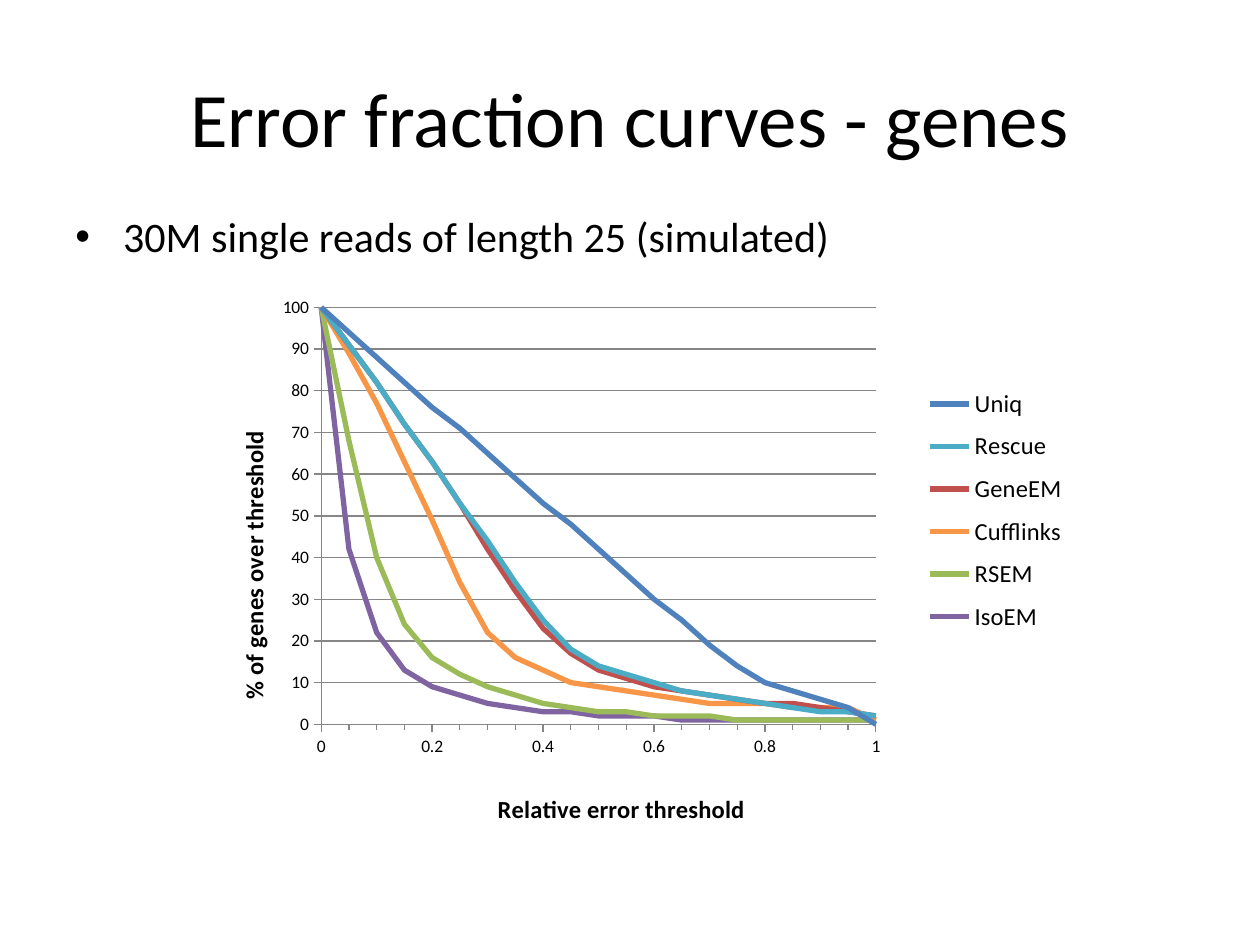
from dataclasses import dataclass

from lxml import etree
from pptx import Presentation
from pptx.chart.data import XyChartData
from pptx.dml.color import RGBColor
from pptx.enum.chart import XL_CHART_TYPE, XL_LEGEND_POSITION, XL_TICK_MARK
from pptx.enum.text import MSO_ANCHOR, PP_ALIGN
from pptx.oxml.ns import qn
from pptx.util import Inches, Pt

SCATTER = XL_CHART_TYPE.XY_SCATTER_LINES_NO_MARKERS
LEGEND_RIGHT = XL_LEGEND_POSITION.RIGHT
TICK_OUT, TICK_NONE = XL_TICK_MARK.OUTSIDE, XL_TICK_MARK.NONE
MIDDLE, TOP = MSO_ANCHOR.MIDDLE, MSO_ANCHOR.TOP
CENTER, LEFT = PP_ALIGN.CENTER, PP_ALIGN.LEFT


@dataclass(frozen=True)
class Theme:
    """Font, colours and type sizes of the slide."""
    font: str = "Calibri"
    ink: RGBColor = RGBColor(0, 0, 0)
    grid: RGBColor = RGBColor.from_string("868686")
    title: Pt = Pt(44)
    body: Pt = Pt(24)
    label: Pt = Pt(14)
    tick: Pt = Pt(10)
    curve: Pt = Pt(3)
    rule: Pt = Pt(0.75)


THEME = Theme()

CURVES = {
    "Uniq": ("4F81BD", [100, 94, 88, 82, 76, 71, 65, 59, 53, 48, 42,
                        36, 30, 25, 19, 14, 10, 8, 6, 4, 0]),
    "Rescue": ("4BACC6", [100, 91, 82, 72, 63, 53, 44, 34, 25, 18, 14,
                          12, 10, 8, 7, 6, 5, 4, 3, 3, 2]),
    "GeneEM": ("C0504D", [100, 91, 82, 72, 63, 53, 42, 32, 23, 17, 13,
                          11, 9, 8, 7, 6, 5, 5, 4, 3, 2]),
    "Cufflinks": ("F79646", [100, 89, 77, 63, 49, 34, 22, 16, 13, 10, 9,
                             8, 7, 6, 5, 5, 5, 4, 4, 4, 1]),
    "RSEM": ("9BBB59", [100, 68, 40, 24, 16, 12, 9, 7, 5, 4, 3,
                        3, 2, 2, 2, 1, 1, 1, 1, 1, 1]),
    "IsoEM": ("8064A2", [100, 42, 22, 13, 9, 7, 5, 4, 3, 3, 2,
                         2, 2, 1, 1, 1, 1, 1, 1, 1, 1]),
}


def set_values(target, values):
    """Set every attribute named in the dict."""
    for name, value in values.items():
        setattr(target, name, value)


def style_font(font, size, bold=False):
    """Give a font the theme face and ink."""
    set_values(font, {"name": THEME.font, "size": size, "bold": bold})
    font.color.rgb = THEME.ink


def style_line(line, color, width):
    """Colour a line and set its width."""
    line.color.rgb = color
    line.width = width


def add_text(page, box, text, size, anchor, align, bullet=None):
    """Place one paragraph in the box, with an optional bullet."""
    frame = page.shapes.add_textbox(*map(Inches, box)).text_frame
    set_values(frame, {"word_wrap": True, "vertical_anchor": anchor})
    para = frame.paragraphs[0]
    para.alignment = align
    if bullet:
        props = para._p.get_or_add_pPr()
        props.set("marL", str(Inches(0.38)))
        props.set("indent", str(-Inches(0.38)))
        etree.SubElement(props, qn("a:buFont")).set("typeface", "Arial")
        etree.SubElement(props, qn("a:buChar")).set("char", bullet)
    span = para.add_run()
    span.text = text
    style_font(span.font, size)


def set_layout(element, left, top, size=None, inner=False):
    """Fix a chart part at fractions of the chart area."""
    for old in element.findall(qn("c:layout")):
        element.remove(old)
    leaders = (qn("c:tx"), qn("c:legendPos"))
    layout = etree.Element(qn("c:layout"))
    element.insert(sum(child.tag in leaders for child in element), layout)
    manual = etree.SubElement(layout, qn("c:manualLayout"))
    entries = [("xMode", "edge"), ("yMode", "edge"), ("x", left), ("y", top)]
    if inner:
        entries.insert(0, ("layoutTarget", "inner"))
    if size:
        entries += zip("wh", size)
    for name, value in entries:
        etree.SubElement(manual, qn(f"c:{name}")).set("val", str(value))


def style_axis(axis, title, spot, rotation, values):
    """Set the scale, ticks and title of one axis."""
    set_values(axis, {"minimum_scale": 0, "major_tick_mark": TICK_OUT, **values})
    style_font(axis.tick_labels.font, THEME.tick)
    set_values(axis.tick_labels, {"number_format": "General",
                                  "number_format_is_linked": False})
    style_line(axis.format.line, THEME.grid, THEME.rule)
    frame = axis.axis_title.text_frame
    span = frame.paragraphs[0].add_run()
    span.text = title
    style_font(span.font, THEME.label, bold=True)
    element = axis.axis_title._element
    element.find(".//" + qn("a:bodyPr")).set("rot", str(rotation * 60000))
    set_layout(element, *spot)


def add_curves(page, box):
    """Place the error fraction chart in the box."""
    data = XyChartData()
    for name, (_, shares) in CURVES.items():
        points = data.add_series(name)
        for step, share in enumerate(shares):
            points.add_data_point(round(step * 0.05, 2), share)
    chart = page.shapes.add_chart(SCATTER, *map(Inches, box), data).chart
    set_values(chart, {"has_title": False, "has_legend": True})
    style_font(chart.font, THEME.tick)
    plot = chart.plots[0]
    plot.vary_by_categories = False
    for series, (color, _) in zip(plot.series, CURVES.values()):
        series.smooth = False
        style_line(series.format.line, RGBColor.from_string(color), THEME.curve)

    style_axis(chart.category_axis, "Relative error threshold", (0.38, 0.86), 0,
               {"maximum_scale": 1, "major_unit": 0.2, "minor_unit": 0.05,
                "minor_tick_mark": TICK_OUT, "has_major_gridlines": False})
    style_axis(chart.value_axis, "% of genes over threshold", (0.11, 0.28), -90,
               {"maximum_scale": 100, "major_unit": 10,
                "minor_tick_mark": TICK_NONE, "has_major_gridlines": True})
    style_line(chart.value_axis.major_gridlines.format.line, THEME.grid, THEME.rule)

    legend = chart.legend
    set_values(legend, {"position": LEGEND_RIGHT, "include_in_layout": False})
    style_font(legend.font, THEME.label)
    set_layout(legend._element, 0.81, 0.2, (0.18, 0.43))
    plot_area = chart._chartSpace.find(".//" + qn("c:plotArea"))
    set_layout(plot_area, 0.202, 0.089, (0.574, 0.67), inner=True)


def main():
    """Build the slide and save the deck."""
    deck = Presentation()
    set_values(deck, {"slide_width": Inches(10), "slide_height": Inches(7.5)})
    page = deck.slides.add_slide(deck.slide_layouts[6])
    add_text(page, (0.5, 0.3, 9, 1.25), "Error fraction curves - genes",
             THEME.title, MIDDLE, CENTER)
    add_text(page, (0.5, 1.62, 9, 0.55), "30M single reads of length 25 (simulated)",
             THEME.body, TOP, LEFT, bullet="•")
    add_curves(page, (1, 2, 7.67, 4.94))
    deck.save("out.pptx")


if __name__ == "__main__":
    main()
